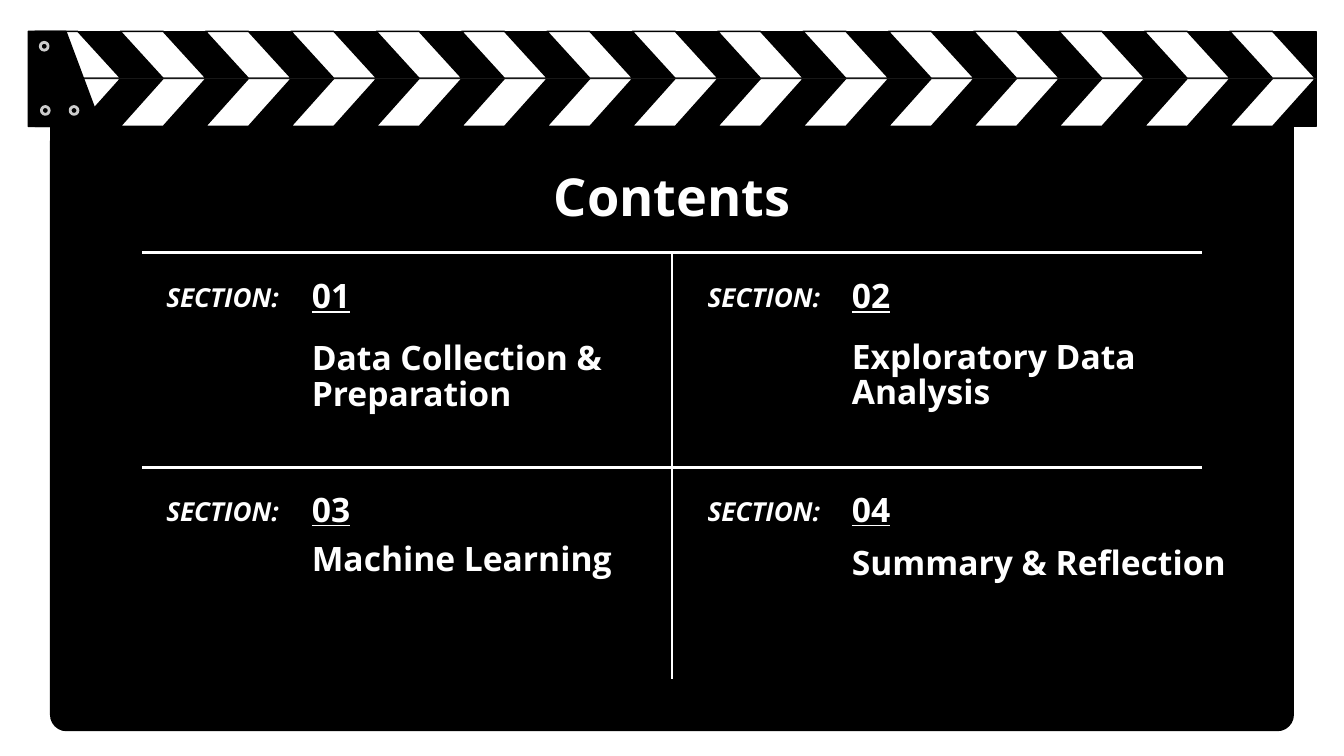
from typing import NamedTuple

from lxml.etree import SubElement
from pptx import Presentation
from pptx.dml.color import RGBColor
from pptx.enum.shapes import MSO_CONNECTOR as Conn, MSO_SHAPE as Geo
from pptx.enum.text import MSO_ANCHOR as Anchor, MSO_AUTO_SIZE as Fit, PP_ALIGN as Align
from pptx.oxml.ns import qn
from pptx.util import Pt

BLACK, WHITE, GREY, DARK = "000000", "FFFFFF", "CCCCCC", "171717"
FONT = "Open Sans"
LEFT, RIGHT = 15.1, 704.9
TOP, MID, BASE = 16.8, 42, 67.7


class Box(NamedTuple):
    x: float
    y: float
    w: float
    h: float


class Part(NamedTuple):
    num: str
    name: str
    x: float
    y: float
    cap: Box
    pitch: float = 1.0


PARTS = [
    Part("01", "Data Collection & Preparation", 82, 143.5, Box(160, 181.5, 194, 42), 0.88),
    Part("02", "Exploratory Data Analysis", 372, 143.5, Box(449.3, 180.7, 194, 42), 0.88),
    Part("03", "Machine Learning", 82, 258, Box(160, 278, 194, 42)),
    Part("04", "Summary & Reflection", 372, 258, Box(449.3, 280, 270, 42)),
]


def hue(code: str) -> RGBColor:
    return RGBColor.from_string(code)


def paint(shape, fill: str, edge: str | None = None, width: float = 0.75) -> None:
    shape.shadow.inherit = False
    shape.fill.solid()
    shape.fill.fore_color.rgb = hue(fill)
    if edge:
        shape.line.color.rgb = hue(edge)
        shape.line.width = Pt(width)
    else:
        shape.line.fill.background()


def poly(shapes, dots: list[tuple[float, float]], fill: str) -> None:
    pts = [(Pt(x), Pt(y)) for x, y in dots]
    form = shapes.build_freeform(*pts[0], scale=1.0)
    form.add_line_segments(pts[1:], close=True)
    paint(form.convert_to_shape(), fill, BLACK)


def rule(shapes, x1: float, y1: float, x2: float, y2: float,
         color: str = WHITE, width: float = 1.5) -> None:
    line = shapes.add_connector(Conn.STRAIGHT, Pt(x1), Pt(y1), Pt(x2), Pt(y2))
    line.line.color.rgb = hue(color)
    line.line.width = Pt(width)
    SubElement(line._element.spPr, qn("a:effectLst"))


def write(shape, text: str, size: float, anchor=Anchor.MIDDLE, align=Align.LEFT,
          pitch: float = 1.0, italic: bool = False, under: bool = False) -> None:
    frame = shape.text_frame
    frame.text = text
    frame.word_wrap = True
    frame.auto_size = Fit.NONE
    frame.vertical_anchor = anchor
    frame.margin_left = frame.margin_right = Pt(7.2)
    frame.margin_top = frame.margin_bottom = Pt(7.2)
    para = frame.paragraphs[0]
    para.alignment = align
    para.line_spacing = pitch
    font = para.runs[0].font
    font.name, font.size, font.bold = FONT, Pt(size), True
    font.italic, font.underline = italic, under
    font.color.rgb = hue(WHITE)


def label(shapes, box: Box, text: str, size: float, **style) -> None:
    write(shapes.add_textbox(*map(Pt, box)), text, size, **style)


def clapper(shapes) -> None:
    # Board
    board = shapes.add_shape(Geo.ROUNDED_RECTANGLE, *map(Pt, (26.8, 51.8, 666.4, 340)))
    board.adjustments[0] = 0.026
    paint(board, BLACK)

    # Two bars with stripes that meet in the middle
    for near, far in ((TOP, MID), (BASE, MID)):
        poly(shapes, [(LEFT, near), (LEFT, far), (RIGHT, far), (RIGHT, near)], BLACK)
        for i in range(15):
            x = 18.7 + i * 45.72
            poly(shapes, [(x, near), (x + 23, far), (x + 46, far), (x + 23, near)], WHITE)
    rule(shapes, LEFT, MID, RIGHT, MID, DARK, 0.75)

    # Hinge with its pins
    poly(shapes, [(LEFT, TOP), (LEFT, BASE), (54.3, BASE), (35.3, TOP)], BLACK)
    for x, y in ((23.7, 24.8), (24.3, 59.2), (39.7, 59.2)):
        pin = shapes.add_shape(Geo.OVAL, Pt(x - 2.1), Pt(y - 2.1), Pt(4.2), Pt(4.2))
        paint(pin, BLACK, GREY, 1.5)


def section(shapes, part: Part) -> None:
    label(shapes, Box(part.x, part.y, 80, 21), "SECTION:", 14,
          anchor=Anchor.TOP, italic=True)
    label(shapes, Box(part.cap.x, part.y + 0.5, 40, 28), part.num, 18, under=True)
    label(shapes, part.cap, part.name, 18, pitch=part.pitch)


def main() -> None:
    deck = Presentation()
    deck.slide_width, deck.slide_height = Pt(720), Pt(405)
    slide = deck.slides.add_slide(deck.slide_layouts[5])
    shapes = slide.shapes
    clapper(shapes)

    # Title, brought in front of the board
    title = shapes.title
    title.left, title.top, title.width, title.height = map(Pt, (56.5, 82, 607, 45.4))
    write(title, "Contents", 28, align=Align.CENTER)
    shapes._spTree.append(title._element)

    # Sections and the lines between them
    for part in PARTS:
        section(shapes, part)
    for y in (250.4, 135.2):
        rule(shapes, 76.2, y, 643.8, y)
    rule(shapes, 360, 135.2, 360, 363.6)

    deck.save("out.pptx")


if __name__ == "__main__":
    main()
